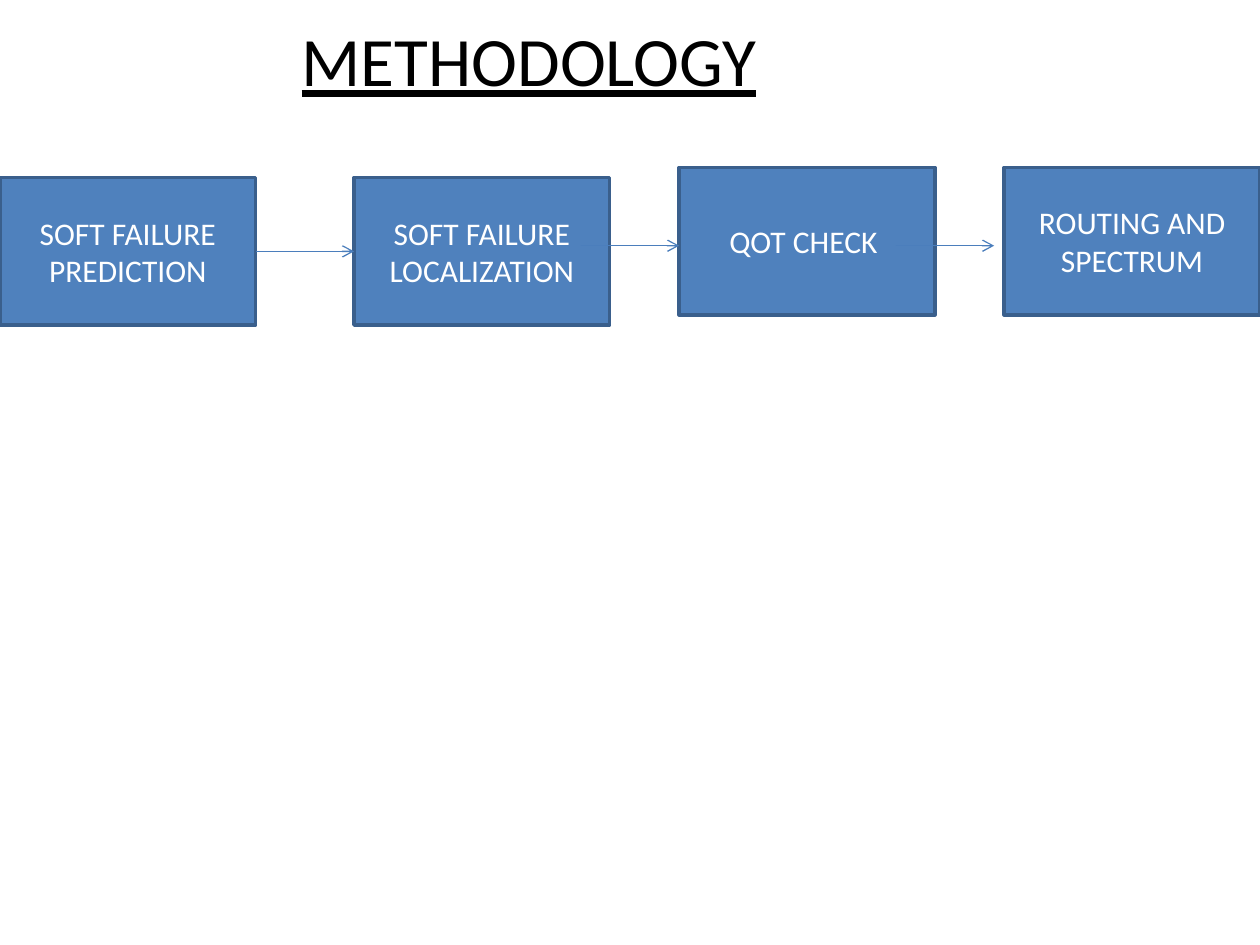
from dataclasses import dataclass
from typing import Optional

from lxml.etree import SubElement
from pptx import Presentation
from pptx.dml.color import RGBColor
from pptx.enum.shapes import MSO_CONNECTOR, MSO_SHAPE
from pptx.enum.text import MSO_ANCHOR, PP_ALIGN
from pptx.oxml.ns import qn
from pptx.util import Inches, Pt


@dataclass(frozen=True)
class Theme:
    font: str = "Calibri"
    title_size: float = 39.6
    step_size: float = 18
    title_color: str = "000000"
    step_color: str = "FFFFFF"
    fill: str = "4F81BD"
    border: str = "3A5F8C"
    arrow: str = "4B7EBC"
    border_width: float = 2
    arrow_width: float = 0.75


@dataclass(frozen=True)
class Step:
    text: str
    left: float
    top: float


@dataclass(frozen=True)
class Arrow:
    start: float
    y: float
    source: Optional[int] = None
    target: Optional[int] = None


THEME = Theme()
STEP_WIDTH, STEP_HEIGHT = 2.03, 1.17
ARROW_LENGTH = 0.78
STEPS = [
    Step("SOFT FAILURE PREDICTION", 0, 1.41),
    Step("SOFT FAILURE LOCALIZATION", 2.81, 1.41),
    Step("QOT CHECK ", 5.39, 1.33),
    Step("ROUTING AND SPECTRUM", 7.97, 1.33),
]
ARROWS = [Arrow(2.03, 1.99, source=0, target=1), Arrow(4.61, 1.95), Arrow(7.11, 1.95)]


def write_text(shape, text: str, *, size: float, color: str, underline: bool = False) -> None:
    """Centre the text in the shape; spaces at its end are never underlined."""
    frame = shape.text_frame
    frame.word_wrap = True
    frame.vertical_anchor = MSO_ANCHOR.MIDDLE
    paragraph = frame.paragraphs[0]
    paragraph.alignment = PP_ALIGN.CENTER
    words = text.rstrip()
    for part, underlined in ((words, underline), (text[len(words):], False)):
        if part:
            run = paragraph.add_run()
            run.text = part
            run.font.name = THEME.font
            run.font.size = Pt(size)
            run.font.underline = underlined
            run.font.color.rgb = RGBColor.from_string(color)


def add_title(slide, text: str) -> None:
    box = slide.shapes.add_textbox(Inches(1.33), Inches(0.23), Inches(5.86), Inches(0.48))
    write_text(box, text, size=THEME.title_size, color=THEME.title_color, underline=True)


def add_step(slide, step: Step):
    shape = slide.shapes.add_shape(
        MSO_SHAPE.RECTANGLE, Inches(step.left), Inches(step.top),
        Inches(STEP_WIDTH), Inches(STEP_HEIGHT))
    shape.shadow.inherit = False
    shape.fill.solid()
    shape.fill.fore_color.rgb = RGBColor.from_string(THEME.fill)
    shape.line.color.rgb = RGBColor.from_string(THEME.border)
    shape.line.width = Pt(THEME.border_width)
    write_text(shape, step.text, size=THEME.step_size, color=THEME.step_color)
    return shape


def add_arrow(slide, arrow: Arrow, step_shapes: list) -> None:
    connector = slide.shapes.add_connector(
        MSO_CONNECTOR.STRAIGHT, Inches(arrow.start), Inches(arrow.y),
        Inches(arrow.start + ARROW_LENGTH), Inches(arrow.y))
    if arrow.source is not None:
        connector.begin_connect(step_shapes[arrow.source], 3)
    if arrow.target is not None:
        connector.end_connect(step_shapes[arrow.target], 1)
    connector.line.color.rgb = RGBColor.from_string(THEME.arrow)
    connector.line.width = Pt(THEME.arrow_width)
    properties = connector.element.spPr
    SubElement(properties.find(qn("a:ln")), qn("a:tailEnd"), type="arrow")
    SubElement(properties, qn("a:effectLst"))


def main() -> None:
    presentation = Presentation()
    presentation.slide_width = Inches(10)
    presentation.slide_height = Inches(7.5)
    slide = presentation.slides.add_slide(presentation.slide_layouts[6])
    add_title(slide, "METHODOLOGY ")
    step_shapes = [add_step(slide, step) for step in STEPS]
    for arrow in ARROWS:
        add_arrow(slide, arrow, step_shapes)
    presentation.save("out.pptx")


if __name__ == "__main__":
    main()
